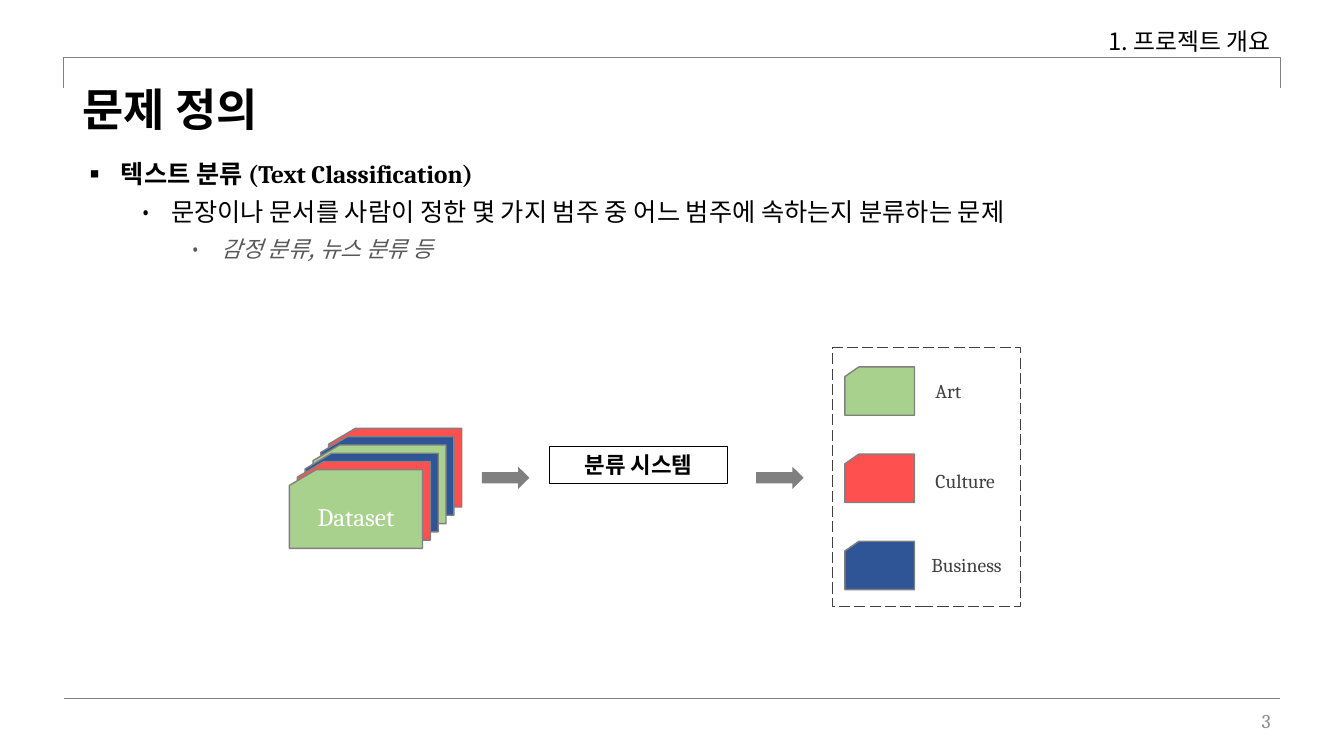
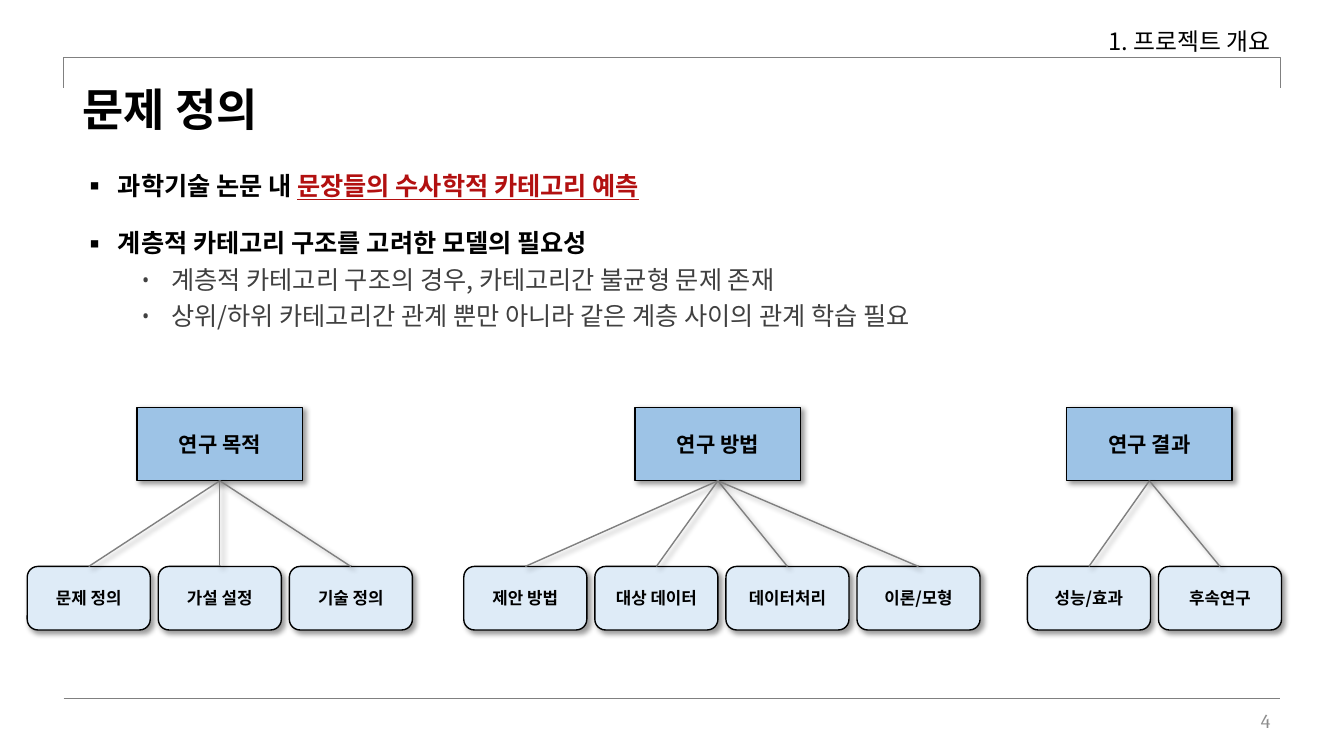
"""Builds two slides that define a text classification problem."""
import dataclasses

import lxml.etree
import pptx
import pptx.dml.color
import pptx.enum.dml
import pptx.enum.shapes
import pptx.enum.text
import pptx.oxml.ns
import pptx.util

SHAPE = pptx.enum.shapes.MSO_SHAPE
ALIGN = pptx.enum.text.PP_ALIGN
ANCHOR = pptx.enum.text.MSO_ANCHOR
FIT = pptx.enum.text.MSO_AUTO_SIZE
inches = pptx.util.Inches
points = pptx.util.Pt


@dataclasses.dataclass(frozen=True)
class Theme:
    sans: str = "Noto Sans CJK KR"
    serif: str = "Cambria"
    black: str = "000000"
    white: str = "FFFFFF"
    dark: str = "404040"
    muted: str = "595959"
    rule: str = "808080"
    number: str = "8C8C8C"
    accent: str = "B21010"
    green: str = "A9D18E"
    red: str = "FF5050"
    navy: str = "2F5597"
    sky: str = "9DC3E6"
    pale: str = "DEEBF7"
    title_size: int = 32
    body_size: int = 18
    section_size: int = 17
    note_size: int = 16
    parent_size: int = 15
    small_size: int = 14
    leaf_size: int = 12


THEME = Theme()
WIDTH, HEIGHT = 13.33, 7.5
MARGIN, RIGHT, RULE_TOP = 0.63, 12.7, 6.93
SECTION, TITLE = "1. 프로젝트 개요", "문제 정의"

BOLD = dict(size=THEME.body_size, bold=True)
DETAIL = dict(size=THEME.body_size, color=THEME.dark)
LABEL = dict(size=THEME.small_size, color=THEME.dark, font=THEME.serif)

CLASSIFICATION = [
    dict(level=0, margin=0.31, hang=0.31, after=6, spans=[
        ("텍스트 분류 ", BOLD),
        ("(Text Classification)", dict(BOLD, font=THEME.serif))]),
    dict(level=1, margin=0.81, hang=0.31, after=6, spans=[
        ("문장이나 문서를 사람이 정한 몇 가지 범주 중 어느 범주에 속하는지 분류하는 문제",
         dict(size=THEME.body_size))]),
    dict(level=2, margin=1.31, hang=0.31, after=6, spans=[
        ("감정 분류, 뉴스 분류 등",
         dict(size=THEME.note_size, color=THEME.muted, italic=True))]),
]
GOAL = [
    dict(level=0, margin=0.28, hang=0.28, spacing=1.5, spans=[
        ("과학기술 논문 내 ", BOLD),
        ("문장들의 수사학적 카테고리 예측",
         dict(BOLD, color=THEME.accent, underline=True))]),
]
NEED = [
    dict(level=0, margin=0.28, hang=0.28, spacing=1.6, spans=[
        ("계층적 카테고리 구조를 고려한 모델의 필요성", BOLD)]),
    dict(level=1, margin=0.81, hang=0.31, spacing=1.2, spans=[
        ("계층적 카테고리 구조의 경우, 카테고리간 불균형 문제 존재", DETAIL)]),
    dict(level=1, margin=0.81, hang=0.31, spacing=1.2, spans=[
        ("상위/하위 카테고리간 관계 뿐만 아니라 같은 계층 사이의 관계 학습 필요", DETAIL)]),
]

STACK = [THEME.red, THEME.navy, THEME.green, THEME.navy, THEME.red, THEME.green]
CLASSES = [
    ("Art", THEME.green, (9.18, 3.71, 0.47, 0.34)),
    ("Culture", THEME.red, (9.18, 4.6, 0.82, 0.34)),
    ("Business", THEME.navy, (9.14, 5.44, 0.94, 0.34)),
]
TREES = [
    ("연구 목적", 1.36, 0.27, ["문제 정의", "가설 설정", "기술 정의"]),
    ("연구 방법", 6.3, 4.6, ["제안 방법", "대상 데이터", "데이터처리", "이론/모형"]),
    ("연구 결과", 10.58, 10.19, ["성능/효과", "후속연구"]),
]


def rgb(color):
    return pptx.dml.color.RGBColor.from_string(color)


def add_element(parent, tag, **attributes):
    return lxml.etree.SubElement(parent, pptx.oxml.ns.qn(tag), attributes)


def add_span(para, text, size, color=THEME.black, font=THEME.sans,
             bold=False, italic=False, underline=False):
    span = para.add_run()
    span.text = text
    style = span.font
    style.size, style.name = points(size), font
    style.bold, style.italic, style.underline = bold, italic, underline
    style.color.rgb = rgb(color)
    add_element(span._r.get_or_add_rPr(), "a:ea", typeface=THEME.sans)


def add_text(page, area, text, align=ALIGN.LEFT, anchor=ANCHOR.TOP, wrap=True, **style):
    frame = page.shapes.add_textbox(*map(inches, area)).text_frame
    frame.word_wrap, frame.vertical_anchor = wrap, anchor
    para = frame.paragraphs[0]
    para.alignment = align
    add_span(para, text, **style)


def add_bullets(page, area, items):
    frame = page.shapes.add_textbox(*map(inches, area)).text_frame
    frame.word_wrap = True
    for index, item in enumerate(items):
        para = frame.add_paragraph() if index else frame.paragraphs[0]
        para.level = item["level"]
        para.line_spacing = item.get("spacing", 1.0)
        para.space_after = points(item.get("after", 0))
        layout = para._p.get_or_add_pPr()
        layout.set("marL", str(inches(item["margin"])))
        layout.set("indent", str(-inches(item["hang"])))
        add_element(layout, "a:buFont", typeface=THEME.serif)
        add_element(layout, "a:buChar", char="•" if item["level"] else "▪")
        for text, style in item["spans"]:
            add_span(para, text, **style)


def set_shadow(item, shadowed):
    effects = add_element(item._element.spPr, "a:effectLst")
    if shadowed:
        shadow = add_element(effects, "a:outerShdw", blurRad=str(points(4)),
                             dist=str(points(3)), dir="2700000", algn="tl",
                             rotWithShape="0")
        color = add_element(shadow, "a:srgbClr", val=THEME.black)
        add_element(color, "a:alpha", val="40000")


def add_box(shapes, kind, area, fill=None, line=None, weight=1, shadowed=False,
            text=None, anchor=ANCHOR.MIDDLE, **style):
    box = shapes.add_shape(kind, *map(inches, area))
    if fill:
        box.fill.solid()
        box.fill.fore_color.rgb = rgb(fill)
    else:
        box.fill.background()
    if line:
        box.line.color.rgb = rgb(line)
        box.line.width = points(weight)
    else:
        box.line.fill.background()
    set_shadow(box, shadowed)
    if text:
        frame = box.text_frame
        frame.word_wrap, frame.vertical_anchor = True, anchor
        frame.paragraphs[0].alignment = ALIGN.CENTER
        add_span(frame.paragraphs[0], text, **style)
    return box


def add_line(page, start=(0, 0), end=(0, 0), joined=None):
    line = page.shapes.add_connector(pptx.enum.shapes.MSO_CONNECTOR.STRAIGHT,
                                     *map(inches, start + end))
    if joined:
        parent, leaf = joined
        line.begin_connect(parent, 2)
        line.end_connect(leaf, 0)
    line.line.color.rgb = rgb(THEME.rule)
    line.line.width = points(1)
    set_shadow(line, bool(joined))


def add_page(deck, number):
    page = deck.slides.add_slide(deck.slide_layouts[6])
    span, drop, top = RIGHT - MARGIN, 0.3, 0.57
    center = (MARGIN + RIGHT) / 2
    bracket = add_box(page.shapes, SHAPE.RIGHT_BRACKET,
                      (center - drop / 2, top + drop / 2 - span / 2, drop, span),
                      line=THEME.rule)
    bracket.adjustments[0] = 0
    bracket.rotation = 270
    add_line(page, (MARGIN, RULE_TOP), (RIGHT, RULE_TOP))
    add_text(page, (8.17, 0.22, 4.53, 0.39), SECTION, ALIGN.RIGHT,
             size=THEME.section_size)
    add_text(page, (0.72, 0.76, 2.17, 0.62), TITLE, wrap=False,
             size=THEME.title_size, bold=True)
    add_text(page, (9.7, 6.95, 3, 0.4), str(number), ALIGN.RIGHT, ANCHOR.MIDDLE,
             size=THEME.small_size, color=THEME.number, font=THEME.serif)
    return page


def build_classification(deck):
    page = add_page(deck, 3)
    add_bullets(page, (0.79, 1.52, 11.88, 1.14), CLASSIFICATION)

    stack = page.shapes.add_group_shape().shapes
    last = len(STACK) - 1
    for index, color in enumerate(STACK):
        area = (3.26 - 0.39 * index / last, 4.25 + 0.41 * index / last, 1.32, 0.78)
        add_box(stack, SHAPE.FLOWCHART_CARD, area, color, THEME.rule,
                text="Dataset" if index == last else None,
                size=THEME.body_size, color=THEME.white, font=THEME.serif)

    for left in (4.78, 7.5):
        add_box(page.shapes, SHAPE.RIGHT_ARROW, (left, 4.63, 0.47, 0.22), THEME.rule)
    system = add_box(page.shapes, SHAPE.RECTANGLE, (5.45, 4.43, 1.77, 0.37),
                     line=THEME.black, weight=0.75, text="분류 시스템",
                     anchor=ANCHOR.TOP, size=THEME.note_size, bold=True,
                     font=THEME.serif)
    system.text_frame.auto_size = FIT.SHAPE_TO_FIT_TEXT

    frame = add_box(page.shapes, SHAPE.RECTANGLE, (8.26, 3.45, 1.86, 2.57),
                    line=THEME.dark)
    frame.line.dash_style = pptx.enum.dml.MSO_LINE.LONG_DASH
    for row, (name, color, label_area) in enumerate(CLASSES):
        add_box(page.shapes, SHAPE.FLOWCHART_CARD,
                (8.38, 3.64 + 0.865 * row, 0.69, 0.48), color, THEME.rule)
        add_text(page, label_area, name, wrap=False, **LABEL)


def build_hierarchy(deck):
    page = add_page(deck, 4)
    add_bullets(page, (0.79, 1.49, 11.81, 0.5), GOAL)
    add_bullets(page, (0.79, 2.03, 11.81, 1.28), NEED)
    leaf_width, gap = 1.22, 0.08
    for name, parent_left, leaf_left, leaves in TREES:
        parent = add_box(page.shapes, SHAPE.RECTANGLE, (parent_left, 4.04, 1.64, 0.73),
                         THEME.sky, THEME.black, shadowed=True, text=name,
                         size=THEME.parent_size, bold=True)
        for column, leaf_name in enumerate(leaves):
            left = leaf_left + column * (leaf_width + gap)
            leaf = add_box(page.shapes, SHAPE.ROUNDED_RECTANGLE,
                           (left, 5.62, leaf_width, 0.63), THEME.pale, THEME.black,
                           shadowed=True, text=leaf_name, size=THEME.leaf_size, bold=True)
            add_line(page, joined=(parent, leaf))


def main():
    deck = pptx.Presentation()
    deck.slide_width, deck.slide_height = inches(WIDTH), inches(HEIGHT)
    build_classification(deck)
    build_hierarchy(deck)
    deck.save("out.pptx")


if __name__ == "__main__":
    main()
